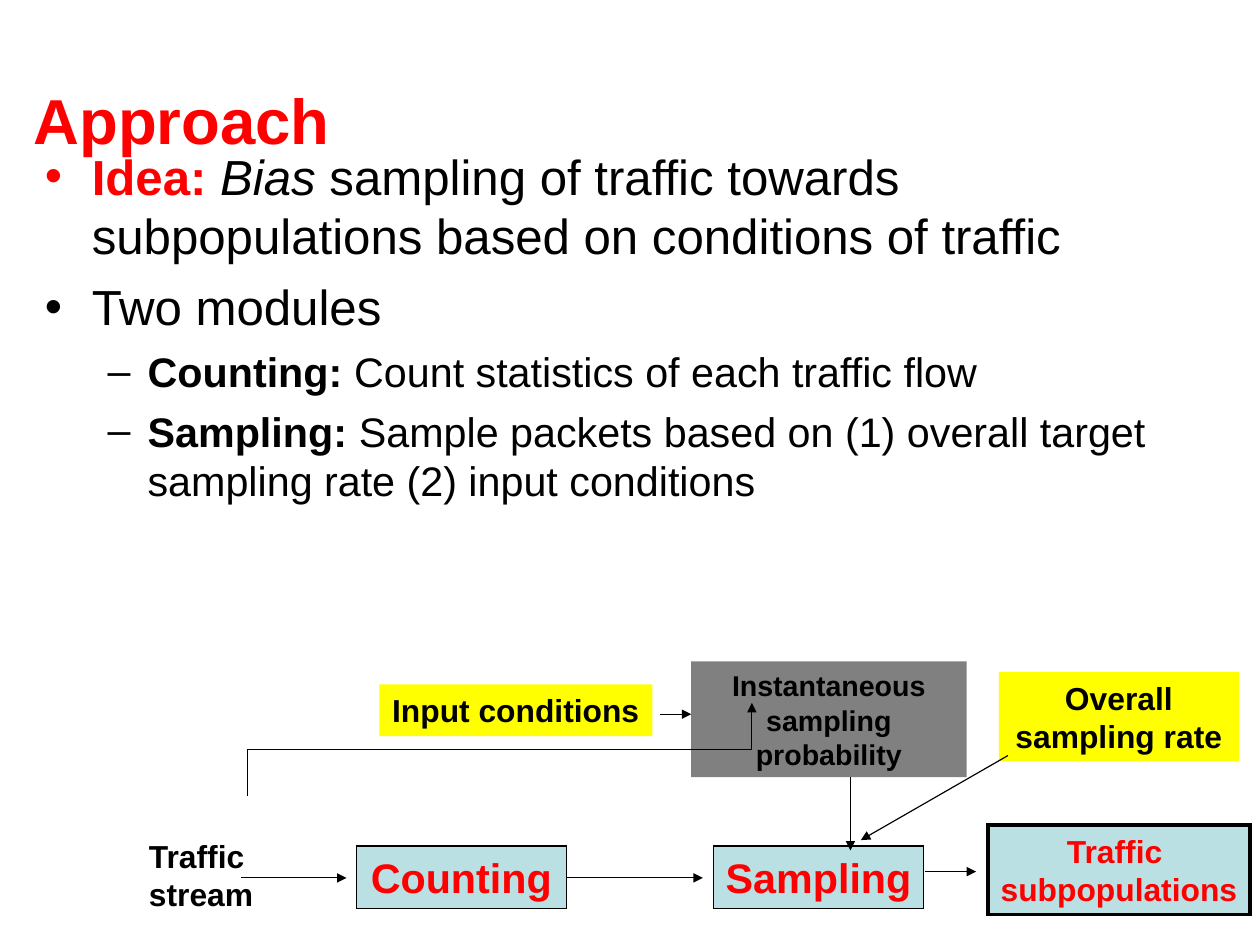
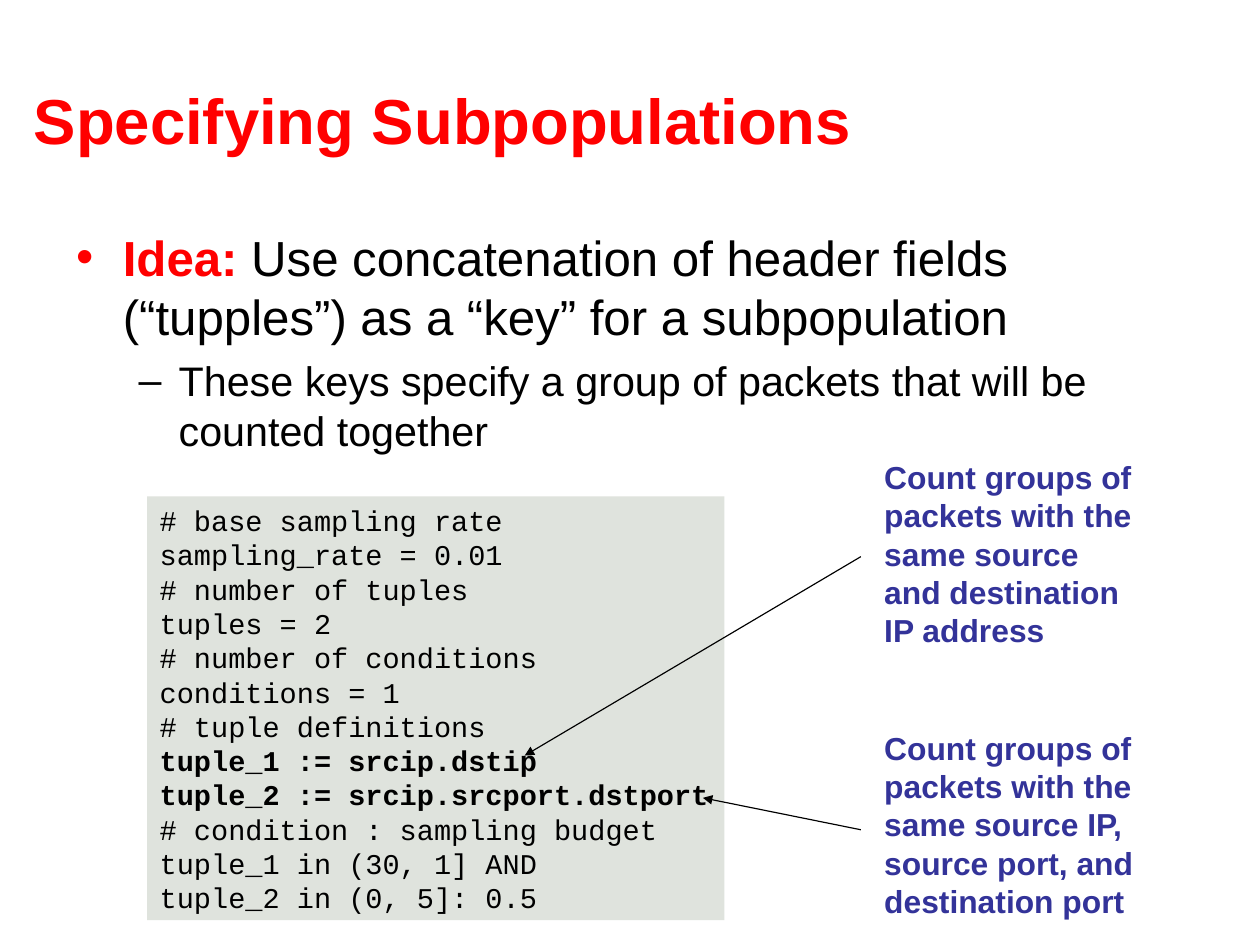
from dataclasses import dataclass

from pptx import Presentation
from pptx.dml.color import RGBColor as Rgb
from pptx.enum.shapes import MSO_CONNECTOR as Con, MSO_SHAPE as Kind
from pptx.enum.text import MSO_ANCHOR as Anc, MSO_AUTO_SIZE as Fit, PP_ALIGN as Al
from pptx.oxml.ns import qn
from pptx.util import Cm, Pt
from lxml import etree


@dataclass(frozen=True)
class Theme:
    red: str = "FF0000"
    black: str = "000000"
    navy: str = "333399"
    aqua: str = "BBE0E3"
    yellow: str = "FFFF00"
    gray: str = "808080"
    pale: str = "DFE3DD"
    sans: str = "Arial"
    mono: str = "Courier New"
    title: int = 40
    lead: int = 31
    sub: int = 26
    label: int = 20
    small: int = 18
    thin: float = 0.75
    thick: float = 2.25


T = Theme()
# Size, space before, left margin and first-line indent of each list level
LEVELS = [(T.lead, 7.7, 1.04, -1.04), (T.sub, 6.5, 2.28, -0.89)]


def put(obj, **vals):
    for name, val in vals.items():
        setattr(obj, name, val)


def place(shape, box):
    put(shape, **dict(zip(("left", "top", "width", "height"), map(Cm, box))))


def frame(shape, **vals):
    base = dict(margin_left=Cm(0.28), margin_right=Cm(0.28),
                margin_top=Cm(0.15), margin_bottom=Cm(0.15),
                word_wrap=True, auto_size=Fit.NONE)
    put(shape.text_frame, **(base | vals))
    return shape.text_frame


def write(para, text, size, color=T.black, font=T.sans, **style):
    run = para.add_run()
    run.text = text
    put(run.font, **(dict(size=Pt(size), name=font, bold=False) | style))
    run.font.color.rgb = Rgb.from_string(color)


def paras(tf, items):
    for i, item in enumerate(items):
        yield (tf.add_paragraph() if i else tf.paragraphs[0]), item


# Title and bulleted list, in the template's placeholders
def page(deck, title, box, items):
    slide = deck.slides.add_slide(deck.slide_layouts[1])
    head, body = slide.placeholders
    place(head, (0.47, 0.9, 26.8, 3.5))
    para = frame(head, vertical_anchor=Anc.MIDDLE).paragraphs[0]
    para.alignment = Al.LEFT
    write(para, title, T.title, T.red, bold=True)

    place(body, box)
    for para, (level, runs) in paras(frame(body), items):
        size, gap, left, first = LEVELS[level]
        put(para, level=level, space_before=Pt(gap))
        for text, color, style in runs:
            write(para, text, size, color, **style)
        props = para._p.get_or_add_pPr()
        props.set("marL", str(Cm(left)))
        props.set("indent", str(Cm(first)))
        tint = etree.SubElement(props, qn("a:buClr"))
        etree.SubElement(tint, qn("a:srgbClr")).set("val", runs[0][1])
    return slide


def panel(slide, box, lines, size, color=T.black, fill=None, edge=None,
          align=Al.CENTER, font=T.sans, bold=True, **opts):
    if fill:
        shape = slide.shapes.add_shape(Kind.RECTANGLE, *map(Cm, box))
        shape.shadow.inherit = False
        shape.fill.solid()
        shape.fill.fore_color.rgb = Rgb.from_string(fill)
        if edge:
            shape.line.color.rgb = Rgb.from_string(T.black)
            shape.line.width = Pt(edge)
            # Square corners
            etree.SubElement(shape._element.spPr.find(qn("a:ln")),
                             qn("a:miter")).set("lim", "800000")
        else:
            shape.line.fill.background()
    else:
        shape = slide.shapes.add_textbox(*map(Cm, box))
    tf = frame(shape, **(dict(vertical_anchor=Anc.TOP) | opts))
    for para, text in paras(tf, lines):
        para.alignment = align
        write(para, text, size, color, font, bold=bold or text in KEYS)


def link(slide, start, end, kind=Con.STRAIGHT, tip=True):
    line = slide.shapes.add_connector(kind, *map(Cm, start + end))
    line.line.color.rgb = Rgb.from_string(T.black)
    line.line.width = Pt(T.thin)
    props = line._element.spPr
    if tip:
        etree.SubElement(props.find(qn("a:ln")), qn("a:tailEnd")).set("type", "triangle")
    etree.SubElement(props, qn("a:effectLst"))
    return line


# Elbow that leaves and arrives upright: a flat elbow turned by 90 degrees
def riser(slide, start, end):
    (x1, y1), (x2, y2) = start, end
    mx, my = (x1 + x2) / 2, (y1 + y2) / 2
    dx, dy = (y1 - y2) / 2, (x2 - x1) / 2
    line = link(slide, (mx + dx, my + dy), (mx - dx, my - dy), Con.ELBOW)
    line._element.spPr.find(qn("a:xfrm")).set("rot", "5400000")


# Flow from traffic stream to subpopulations
def flow(slide, x, y):
    def at(dx, dy):
        return x + dx, y + dy

    # Modules
    for dx, name in [(4.92, "Counting"), (12.86, "Sampling")]:
        panel(slide, (*at(dx, 4.1), 4.67, 1.4), [name], T.sub, T.red, T.aqua,
              T.thin, word_wrap=False, vertical_anchor=Anc.MIDDLE)

    # Inputs and outcome
    panel(slide, (*at(0.03, 3.74), 3.02, 1.98), ["Traffic stream"], T.label, align=Al.LEFT)
    panel(slide, (*at(5.43, 0.51), 6.07, 1.15), ["Input conditions"], T.label,
          fill=T.yellow, word_wrap=False)
    panel(slide, (*at(12.36, 0), 6.12, 2.57), ["Instantaneous sampling probability"],
          T.small, fill=T.gray)
    panel(slide, (*at(19.2, 0.23), 5.33, 1.98), ["Overall sampling rate"], T.label,
          fill=T.yellow)
    panel(slide, (*at(18.96, 3.64), 5.82, 1.98), ["Traffic ", "subpopulations"],
          T.label, T.red, T.aqua, T.thick, word_wrap=False)

    # Arrows
    for start, end in [((3.07, 4.81), (4.7, 4.81)), ((9.6, 4.81), (12.62, 4.81)),
                       ((11.66, 1.17), (12.36, 1.17)), ((19.4, 2.09), (16.13, 3.97)),
                       ((15.9, 2.57), (15.9, 4.2)), ((17.55, 4.67), (18.69, 4.67))]:
        link(slide, at(*start), at(*end))
    link(slide, at(2.36, 4.81), at(3.07, 4.81), tip=False)
    riser(slide, at(2.51, 3), at(13.71, 0.92))


KEYS = ("tuple_1 := srcip.dstip", "tuple_2 := srcip.srcport.dstport")
CODE = ["# base sampling rate", "sampling_rate = 0.01",
        "# number of tuples", "tuples = 2",
        "# number of conditions", "conditions = 1",
        "# tuple definitions", *KEYS,
        "# condition : sampling budget",
        "tuple_1 in (30, 1] AND", "tuple_2 in (0, 5]: 0.5"]
NOTES = ["Count groups of packets with the same source and destination IP address",
         "Count groups of packets with the same source IP, source port, and destination port"]


# Code listing with two notes that point at its tuples
def listing(slide, x, y):
    panel(slide, (x, y + 1, 12.83, 9.42), CODE, T.small, fill=T.pale,
          align=Al.LEFT, font=T.mono, bold=False)
    tips = [((15.86, 2.34), (8.39, 6.76)), ((15.86, 8.41), (12.35, 7.7))]
    for i, (note, ((x1, y1), (x2, y2))) in enumerate(zip(NOTES, tips)):
        panel(slide, (x + 16.1, y + 6.02 * i, 6.3, 4.52), [note], T.label, T.navy,
              align=Al.LEFT)
        link(slide, (x + x1, y + y1), (x + x2, y + y2))


def main():
    deck = Presentation()
    put(deck, slide_width=Cm(28), slide_height=Cm(21))
    bold, plain = dict(bold=True), {}

    slide = page(deck, "Approach", (0.72, 3.1, 25.2, 12.3), [
        (0, [("Idea: ", T.red, bold), ("Bias", T.black, dict(italic=True)),
             (" sampling of traffic towards subpopulations based on conditions of traffic",
              T.black, plain)]),
        (0, [("Two modules", T.black, plain)]),
        (1, [("Counting:", T.black, bold),
             (" Count statistics of each traffic flow", T.black, plain)]),
        (1, [("Sampling: ", T.black, bold),
             ("Sample packets based on (1) overall target sampling rate (2) input conditions",
              T.black, plain)])])
    flow(slide, 3, 14.7)

    slide = page(deck, "Specifying Subpopulations", (1.41, 4.9, 25.2, 13.87), [
        (0, [("Idea:", T.red, bold),
             (" Use concatenation of header fields (“tupples”) as a “key” for a subpopulation",
              T.black, plain)]),
        (1, [("These keys specify a group of packets that will be counted together",
              T.black, plain)])])
    listing(slide, 3.27, 10.03)
    deck.save("out.pptx")


if __name__ == "__main__":
    main()
